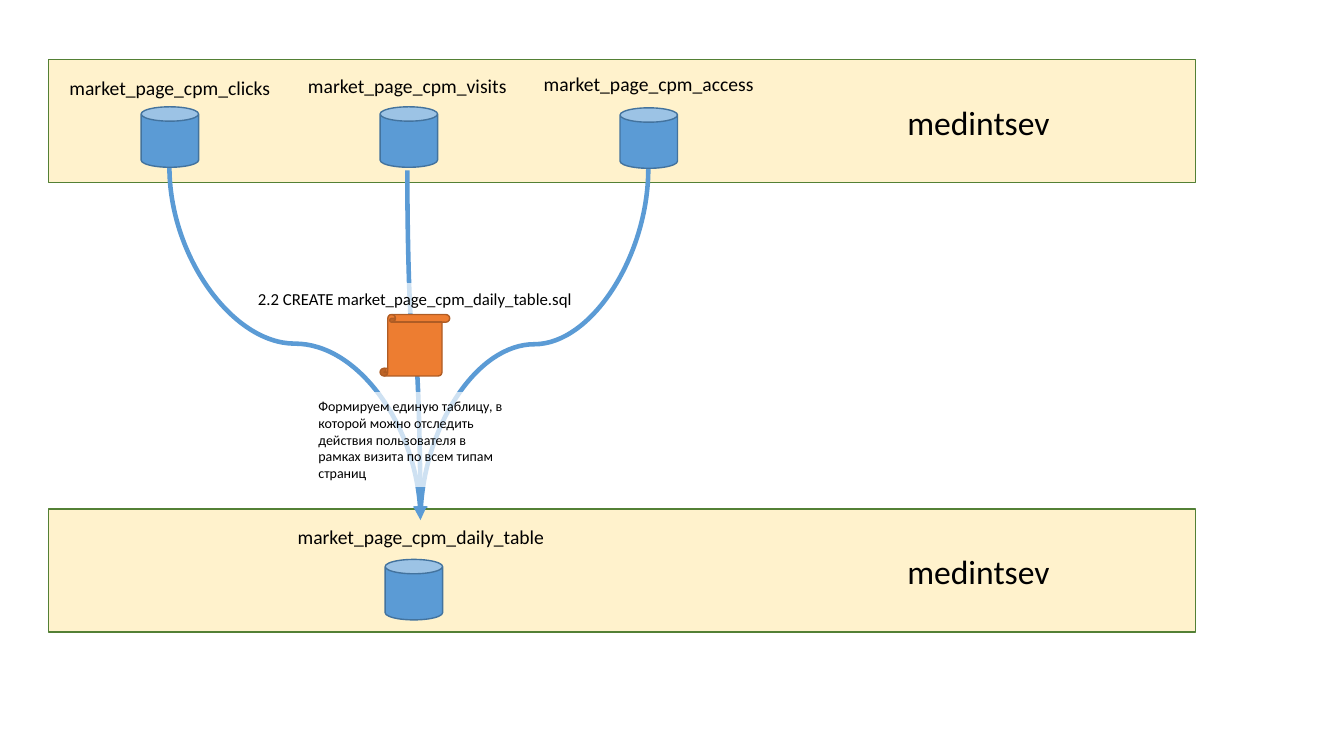
from dataclasses import dataclass

from pptx import Presentation
from pptx.dml.color import RGBColor
from pptx.enum.shapes import MSO_CONNECTOR, MSO_SHAPE as SHAPE
from pptx.enum.text import MSO_AUTO_SIZE as AUTO, PP_ALIGN as ALIGN
from pptx.oxml.ns import qn
from pptx.util import Inches, Pt
from lxml import etree

BLUE, BLUE_EDGE = "5B9BD5", "43739E"
TARGET = (4.17, 5.16)


@dataclass
class Box:
    x: float
    y: float
    w: float
    h: float

    def lengths(self):
        return [Inches(v) for v in (self.x, self.y, self.w, self.h)]


@dataclass
class Table:
    name: str
    label: Box
    x: float
    y: float


@dataclass
class Flow:
    x: float
    y: float


def set_color(fmt, color: str) -> None:
    fmt.rgb = RGBColor.from_string(color)


def add_shape(s, kind, box: Box, fill: str, line: str = "", alpha: int = 100):
    sp = s.shapes.add_shape(kind, *box.lengths())
    sp.shadow.inherit = False
    sp.fill.solid()
    set_color(sp.fill.fore_color, fill)
    if line:
        set_color(sp.line.color, line)
        sp.line.width = Pt(1)
    else:
        sp.line.fill.background()
    if alpha < 100:
        clr = sp.fill._xPr.find(qn("a:solidFill"))[0]
        etree.SubElement(clr, qn("a:alpha"), val=str(alpha * 1000))
    return sp


def write(sp, text: str, *, size: int = 14, align=ALIGN.CENTER, wrap: bool = True) -> None:
    tf = sp.text_frame
    tf.word_wrap = wrap
    tf.auto_size = AUTO.SHAPE_TO_FIT_TEXT
    p = tf.paragraphs[0]
    p.alignment = align
    r = p.add_run()
    r.text = text
    r.font.name = "Calibri"
    r.font.size = Pt(size)
    set_color(r.font.color, "000000")


def add_label(s, text: str, box: Box, size: int = 14) -> None:
    write(s.shapes.add_textbox(*box.lengths()), text, size=size)


def add_band(s, y: float) -> None:
    add_shape(s, SHAPE.RECTANGLE, Box(0.48, y, 11.38, 1.22), "FFF2CC", "538035")


def add_table_icon(s, table: Table) -> None:
    add_shape(s, SHAPE.CAN, Box(table.x, table.y, 0.57, 0.6), BLUE, BLUE_EDGE)
    add_label(s, table.name, table.label)


def add_flow(s, flow: Flow) -> None:
    """Draw a curve that leaves downwards, as a sideways connector turned upright."""
    end_x, end_y = TARGET
    w, h = end_y - flow.y, abs(end_x - flow.x)
    left, top = (flow.x + end_x - w) / 2, (flow.y + end_y - h) / 2
    c = s.shapes.add_connector(MSO_CONNECTOR.CURVE, Inches(left), Inches(top),
                               Inches(left + w), Inches(top + h))
    set_color(c.line.color, BLUE)
    c.line.width = Pt(3.25)
    spPr = c._element.spPr
    xfrm = spPr.find(qn("a:xfrm"))
    if flow.x < end_x:
        xfrm.set("rot", str(270 * 60000))
        xfrm.set("flipH", "1")
    else:
        xfrm.set("rot", str(90 * 60000))
    etree.SubElement(spPr.find(qn("a:ln")), qn("a:tailEnd"), type="triangle")
    etree.SubElement(spPr, qn("a:effectLst"))


SOURCES = [
    Table("market_page_cpm_clicks", Box(0.57, 0.7, 2.23, 0.34), 1.4, 1.06),
    Table("market_page_cpm_visits", Box(2.95, 0.68, 2.18, 0.34), 3.77, 1.06),
    Table("market_page_cpm_access", Box(5.2, 0.66, 2.47, 0.34), 6.15, 1.07),
]
DAILY = Table("market_page_cpm_daily_table", Box(2.8, 5.16, 2.75, 0.34), 3.82, 5.55)
CLICKS, VISITS, ACCESS = Flow(1.68, 1.66), Flow(4.04, 1.69), Flow(6.43, 1.67)


def main() -> None:
    prs = Presentation()
    prs.slide_width, prs.slide_height = Inches(13.33), Inches(7.5)
    s = prs.slides.add_slide(prs.slide_layouts[6])

    add_band(s, 0.59)
    add_flow(s, VISITS)
    add_flow(s, ACCESS)
    add_band(s, 5.05)
    add_flow(s, CLICKS)

    for table in SOURCES:
        add_table_icon(s, table)
    add_shape(s, SHAPE.VERTICAL_SCROLL, Box(3.77, 3.12, 0.69, 0.61), "ED7D31", "AF5C24")
    script = add_shape(s, SHAPE.RECTANGLE, Box(2.44, 2.81, 3.35, 0.3), "FFFFFF", alpha=70)
    write(script, "2.2 CREATE market_page_cpm_daily_table.sql", size=12, wrap=False)
    note = add_shape(s, SHAPE.RECTANGLE, Box(3.06, 3.89, 2.1, 0.94), "FFFFFF", alpha=70)
    write(note, "Формируем единую таблицу, в которой можно отследить действия "
                "пользователя в рамках визита по всем типам страниц",
          size=10, align=ALIGN.LEFT)
    add_table_icon(s, DAILY)
    for y in (0.96, 5.42):
        add_label(s, "medintsev", Box(8.29, y, 2.83, 0.5), size=24)

    prs.save("out.pptx")


if __name__ == "__main__":
    main()
